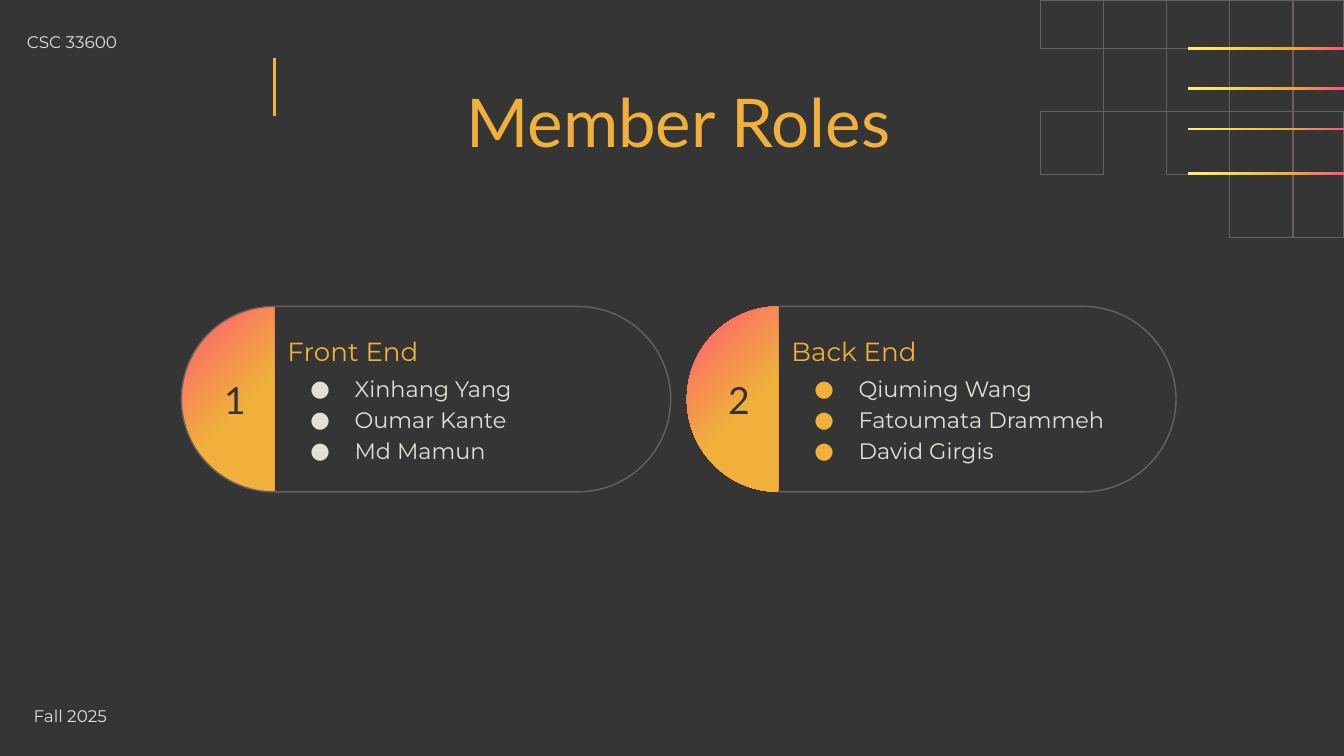
import math

import lxml.etree
import pptx
import pptx.dml.color
import pptx.enum.shapes
import pptx.enum.text
import pptx.oxml.ns
import pptx.util

Inches = pptx.util.Inches
Pt = pptx.util.Pt
qn = pptx.oxml.ns.qn
SHAPE = pptx.enum.shapes.MSO_SHAPE
ANCHOR = pptx.enum.text.MSO_ANCHOR
ALIGN = pptx.enum.text.PP_ALIGN

COLORS = {
    "background": "353535",
    "outline": "69615E",
    "accent": "F0B03B",
    "pale": "E3DFD6",
    "pink": "FF5777",
    "yellow": "FFEB67",
}
BAR_STOPS = [(0, "yellow"), (8, "yellow"), (63, "accent"), (100, "pink")]
CAP_STOPS = [(0, "pink"), (58, "accent"), (100, "accent")]


def rgb(name):
    """Return the named palette colour."""
    return pptx.dml.color.RGBColor.from_string(COLORS[name])


def add_bullet(paragraph, color, font):
    """Give a paragraph a round bullet with a hanging indent."""
    properties = paragraph._p.get_or_add_pPr()
    properties.set("marL", str(Inches(0.5)))
    properties.set("indent", str(Inches(-0.33)))
    bullet_color = lxml.etree.SubElement(properties, qn("a:buClr"))
    lxml.etree.SubElement(bullet_color, qn("a:srgbClr"), val=COLORS[color])
    lxml.etree.SubElement(properties, qn("a:buFont"), typeface=font)
    lxml.etree.SubElement(properties, qn("a:buChar"), char="●")


def write_text(frame, text, font="Montserrat", size=9, color="pale",
               align=ALIGN.LEFT, spacing=1.0, bullet=None):
    """Write each line of text as a formatted paragraph."""
    for index, line in enumerate(text.split("\n")):
        paragraph = frame.add_paragraph() if index else frame.paragraphs[0]
        paragraph.alignment = align
        paragraph.line_spacing = spacing
        if bullet:
            add_bullet(paragraph, bullet, font)
        run = paragraph.add_run()
        run.text = line
        run.font.name = font
        run.font.size = Pt(size)
        run.font.color.rgb = rgb(color)


class SlideStyle:
    """Draw styled elements on the current slide."""

    def __init__(self, slide):
        self.slide = slide
        slide.background.fill.solid()
        slide.background.fill.fore_color.rgb = rgb("background")

    def outline(self, kind, left, top, width, height):
        """Add an unfilled shape with a thin line."""
        shape = self.slide.shapes.add_shape(
            kind, Inches(left), Inches(top), Inches(width), Inches(height))
        shape.shadow.inherit = False
        shape.fill.background()
        shape.line.color.rgb = rgb("outline")
        shape.line.width = Pt(0.75)
        return shape

    def gradient(self, shape, stops, angle):
        """Fill a shape with gradient stops and remove its line."""
        shape.shadow.inherit = False
        shape.line.fill.background()
        shape.fill.gradient()
        shape.fill.gradient_angle = angle
        stop_list = shape._element.spPr.find(qn("a:gradFill")).find(qn("a:gsLst"))
        for old_stop in list(stop_list):
            stop_list.remove(old_stop)
        for position, color in stops:
            stop = lxml.etree.SubElement(stop_list, qn("a:gs"), pos=str(position * 1000))
            lxml.etree.SubElement(stop, qn("a:srgbClr"), val=COLORS[color])

    def bar(self, left, top, width, height):
        """Add a thin gradient bar."""
        shape = self.slide.shapes.add_shape(
            SHAPE.RECTANGLE, Inches(left), Inches(top), Inches(width), Inches(height))
        self.gradient(shape, BAR_STOPS, 0)

    def pill(self, left, top, width, height):
        """Add a fully rounded outline."""
        self.outline(SHAPE.ROUNDED_RECTANGLE, left, top, width, height).adjustments[0] = 0.5

    def cap(self, left, top, width, height, steps=30):
        """Add a gradient half disc that opens to the right."""
        points = []
        for step in range(steps + 1):
            turn = math.pi * step / steps
            points.append((Inches(left + width * (1 - math.sin(turn))),
                           Inches(top + height / 2 * (1 - math.cos(turn)))))
        builder = self.slide.shapes.build_freeform(*points[0])
        builder.add_line_segments(points[1:], close=True)
        self.gradient(builder.convert_to_shape(), CAP_STOPS, 315)

    def rule(self, start, end):
        """Add a straight accent line."""
        line = self.slide.shapes.add_connector(
            pptx.enum.shapes.MSO_CONNECTOR.STRAIGHT, *map(Inches, start + end))
        line.line.color.rgb = rgb("accent")
        line.line.width = Pt(1.5)
        lxml.etree.SubElement(line._element.spPr, qn("a:effectLst"))

    def text(self, text, box, insets=(0.1, 0.1, 0.1, 0.1), anchor=ANCHOR.TOP, **style):
        """Add a wrapped text box."""
        frame = self.slide.shapes.add_textbox(*map(Inches, box)).text_frame
        frame.word_wrap = True
        frame.vertical_anchor = anchor
        (frame.margin_left, frame.margin_top,
         frame.margin_right, frame.margin_bottom) = map(Inches, insets)
        write_text(frame, text, **style)


def main():
    """Build the member roles slide."""
    deck = pptx.Presentation()
    deck.slide_width, deck.slide_height = Inches(10), Inches(10 * 9 / 16)
    style = SlideStyle(deck.slides.add_slide(deck.slide_layouts[6]))

    cell = 0.47
    grid_rows = [(0, 0.36, range(5)), (0.36, cell, (1, 2, 3)),
                 (0.83, cell, (0, 2, 3, 4)), (1.3, cell, (3, 4))]
    for top, height, columns in grid_rows:
        for column in columns:
            left = 7.74 + cell * column
            style.outline(SHAPE.RECTANGLE, left, top, min(cell, 10 - left), height)
    for top in (0.35, 0.65, 0.95, 1.28):
        style.bar(8.84, top, 1.16, 0.02)

    card_top, card_height = 2.28, 1.38
    style.cap(1.35, card_top, 0.69, card_height)
    style.pill(5.14, card_top, 3.61, card_height)
    style.cap(5.11, card_top, 0.68, card_height)
    style.pill(1.35, card_top, 3.64, card_height)

    style.rule((2.04, 0.43), (2.04, 0.86))
    style.text("Fall 2025", (0.25, 5.22, 2.12, 0.21), (0, 0, 0, 0), ANCHOR.MIDDLE)
    title_insets = (0.2, 0.1, 0.1, 0.1)
    style.text("CSC 33600", (0, 0.16, 1.73, 0.21), title_insets)
    style.text("Member Roles", (3.19, 0.5, 3.61, 0.57), title_insets,
               font="Lato", size=36, color="accent", align=ALIGN.CENTER)

    roles = [
        ("1", "Front End", "Xinhang Yang\nOumar Kante\nMd Mamun", 2.04, "pale"),
        ("2", "Back End", "Qiuming Wang\nFatoumata Drammeh\nDavid Girgis", 5.79, "accent"),
    ]
    for number, role, members, left, bullet in roles:
        style.text(number, (left - 0.47, 2.6, 0.45, 0.74), anchor=ANCHOR.MIDDLE,
                   font="Lato", size=20, color="background")
        style.text(role, (left, 2.36, 2.62, 0.32), size=14, color="accent", spacing=1.15)
        style.text(members, (left, 2.76, 2.95, 0.9), (0.1, 0, 0.1, 0.1),
                   size=12, spacing=1.15, bullet=bullet)

    deck.save("out.pptx")


if __name__ == "__main__":
    main()
